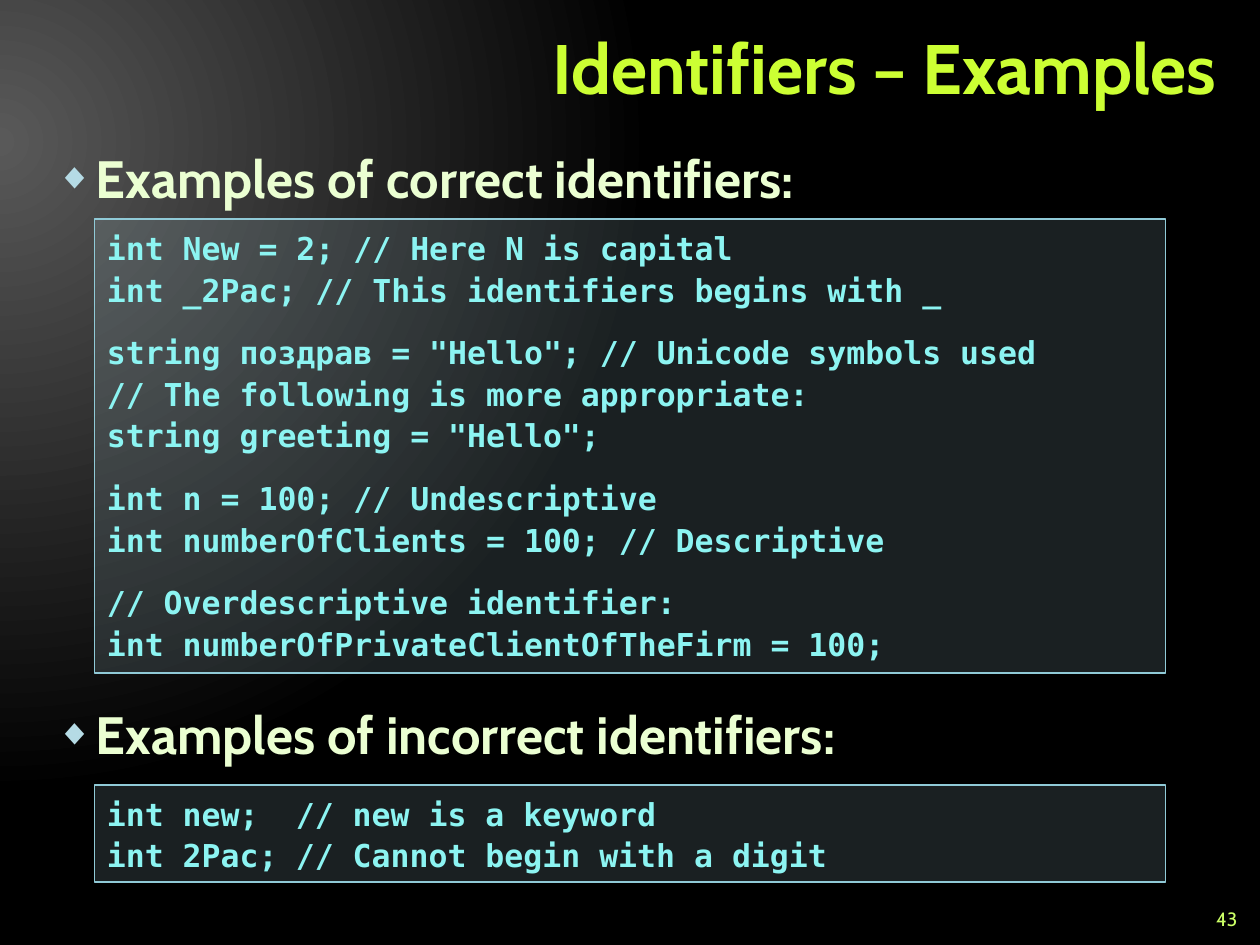
from lxml import etree
from pptx import Presentation
from pptx.dml.color import RGBColor
from pptx.enum.shapes import MSO_SHAPE
from pptx.enum.text import MSO_ANCHOR as Anchor, MSO_AUTO_SIZE as Fit, PP_ALIGN as Align
from pptx.oxml import parse_xml
from pptx.oxml.ns import nsdecls, qn
from pptx.util import Inches, Pt

# Content
TITLE = "Identifiers – Examples"
PAGE_NUMBER = "43"
HEADINGS = ["Examples of correct identifiers:", "Examples of incorrect identifiers:"]
HEADING_GAPS = [6, 274]  # points above each heading; the second clears the first code box
CORRECT = [
    ["int New = 2; // Here N is capital",
     "int _2Pac; // This identifiers begins with _"],
    ['string поздрав = "Hello"; // Unicode symbols used',
     "// The following is more appropriate:",
     'string greeting = "Hello";'],
    ["int n = 100; // Undescriptive",
     "int numberOfClients = 100; // Descriptive"],
    ["// Overdescriptive identifier:",
     "int numberOfPrivateClientOfTheFirm = 100;"],
]
INCORRECT = [
    ["int new;\t// new is a keyword",
     "int 2Pac;\t// Cannot begin with a digit"],
]
CODE_BOXES = [(6.23, 0.77, INCORRECT), (1.74, 3.6, CORRECT)]  # top, height, groups

# Look
COLORS = {
    "title": "CCFF33", "heading": "EBFFD2", "bullet": "B5DBE5", "number": "CCFF66",
    "code": "8CF4F2", "code_fill": "B5DBE5", "code_line": "90CAD7",
    "glow": "595959", "night": "000000", "wave": "000D9E", "wave_edge": "262626",
}
FONTS = {
    "title": {"name": "Cabin", "size": Pt(40), "bold": True},
    "heading": {"name": "Cabin", "size": Pt(30), "bold": True},
    "number": {"name": "Cabin", "size": Pt(11), "bold": False},
    "code": {"name": "DejaVu Sans Mono", "size": Pt(18), "bold": True},
}
# top, bottom, left end of crest, its two control points, edge colour
WAVES = [
    (0.45, 6.53, 1.33, (5, 1.33), (5.34, -0.75), "wave_edge"),
    (0.67, 5.57, 1.33, (5, 1.33), (5.98, -0.49), "glow"),
] * 2
WIDTH, HEIGHT = 10, 7.5


def rgb(role):
    return RGBColor.from_string(COLORS[role])


def set_format(target, values):
    for key, value in values.items():
        setattr(target, key, value)


def write(paragraph, text, role, **layout):
    run = paragraph.add_run()
    run.text = text
    set_format(run.font, FONTS[role])
    run.font.color.rgb = rgb(role)
    set_format(paragraph, layout)


def place(shape, left, top, width, height):
    sides = zip(("left", "top", "width", "height"), (left, top, width, height))
    set_format(shape, {side: Inches(value) for side, value in sides})


def set_gradient(parent, stops, direction):
    """Swap the solid fill in parent for a gradient of (percent, role, alpha) stops."""
    marks = "".join(
        f'<a:gs pos="{pos * 1000}"><a:srgbClr val="{COLORS[role]}">'
        f'<a:alpha val="{alpha * 1000}"/></a:srgbClr></a:gs>' for pos, role, alpha in stops)
    gradient = parse_xml(f'<a:gradFill {nsdecls("a")} rotWithShape="1">'
                         f"<a:gsLst>{marks}</a:gsLst>{direction}</a:gradFill>")
    parent.replace(parent.find(qn("a:solidFill")), gradient)


def add_wave(slide, top, bottom, crest, control1, control2, edge):
    # Drawn upside down, then turned, so the gradient ends at the crest
    def turned(x, y):
        return WIDTH - x, top + bottom - y

    corners = [turned(*point) for point in
               [(WIDTH, bottom), (0, bottom), (0, crest), (WIDTH, top)]]
    builder = slide.shapes.build_freeform(*corners[0], scale=Inches(1))
    builder.add_line_segments(corners[1:], close=True)
    wave = builder.convert_to_shape()
    wave.shadow.inherit = False
    wave.rotation = 180
    wave.fill.solid()
    wave.line.fill.background()
    set_gradient(wave._element.spPr, [(65, "wave", 0), (100, edge, 100)],
                 '<a:lin ang="4800000" scaled="0"/>')
    # The crest is the last straight side: bend it
    crest_side = wave._element.findall(".//" + qn("a:lnTo"))[2]
    curve = etree.Element(qn("a:cubicBezTo"))
    for x, y in (turned(*control1), turned(*control2), corners[3]):
        etree.SubElement(curve, qn("a:pt"), x=str(int(Inches(x))),
                         y=str(int(Inches(y - top))))
    crest_side.getparent().replace(crest_side, curve)
    return wave


def add_bullet(paragraph):
    props = paragraph._p.get_or_add_pPr()
    indent = int(Inches(0.31))
    props.set("marL", str(indent))
    props.set("indent", str(-indent))
    color = etree.SubElement(props, qn("a:buClr"))
    etree.SubElement(color, qn("a:srgbClr"), val=COLORS["bullet"])
    etree.SubElement(props, qn("a:buSzPct"), val="70000")
    etree.SubElement(props, qn("a:buChar"), char="◆")


def add_code(slide, top, height, groups):
    box = slide.shapes.add_shape(MSO_SHAPE.RECTANGLE, Inches(0.75), Inches(top),
                                 Inches(8.5), Inches(height))
    box.shadow.inherit = False
    box.fill.solid()
    box.fill.fore_color.rgb = rgb("code_fill")
    tint = box._element.spPr.find(qn("a:solidFill"))[0]
    etree.SubElement(tint, qn("a:alpha"), val="15000")
    box.line.color.rgb = rgb("code_line")
    box.line.width = Pt(1)
    frame = box.text_frame
    set_format(frame, {"word_wrap": True, "vertical_anchor": Anchor.TOP,
                       "auto_size": Fit.SHAPE_TO_FIT_TEXT})
    lines = [(line, 12 if g and not i else 0)
             for g, group in enumerate(groups) for i, line in enumerate(group)]
    for n, (line, gap) in enumerate(lines):
        paragraph = frame.add_paragraph() if n else frame.paragraphs[0]
        write(paragraph, line, "code", alignment=Align.LEFT, line_spacing=1.1,
              space_before=Pt(gap))


def main():
    prs = Presentation()
    prs.slide_width, prs.slide_height = Inches(WIDTH), Inches(HEIGHT)
    slide = prs.slides.add_slide(prs.slide_layouts[1])
    title, body = slide.placeholders

    # Background glow and waves behind everything
    slide.background.fill.solid()
    set_gradient(slide._element.find(".//" + qn("p:bgPr")),
                 [(0, "glow", 100), (83, "night", 100)],
                 '<a:path path="circle"><a:fillToRect l="20000" t="30000" '
                 'r="135000" b="100000"/></a:path>')
    for layer, wave in enumerate(WAVES):
        slide.shapes._spTree.insert(2 + layer, add_wave(slide, *wave)._element)

    # Title
    place(title, 2, 0.08, 7.75, 1)
    set_format(title.text_frame, {"vertical_anchor": Anchor.MIDDLE, "auto_size": Fit.NONE})
    write(title.text_frame.paragraphs[0], TITLE, "title",
          alignment=Align.RIGHT, line_spacing=Pt(40))

    # Headings
    place(body, 0.35, 1.08, 9.29, 6)
    body.text_frame.auto_size = Fit.NONE
    for n, (heading, gap) in enumerate(zip(HEADINGS, HEADING_GAPS)):
        paragraph = body.text_frame.add_paragraph() if n else body.text_frame.paragraphs[0]
        write(paragraph, heading, "heading", line_spacing=Pt(38),
              space_before=Pt(gap), space_after=Pt(6))
        add_bullet(paragraph)

    # Page number
    number = slide.shapes.add_textbox(Inches(9.42), Inches(7.17), Inches(0.5), Inches(0.25))
    set_format(number.text_frame, {"word_wrap": True, "vertical_anchor": Anchor.MIDDLE})
    write(number.text_frame.paragraphs[0], PAGE_NUMBER, "number", alignment=Align.RIGHT)

    # Code boxes
    for code_box in CODE_BOXES:
        add_code(slide, *code_box)

    prs.save("out.pptx")


if __name__ == "__main__":
    main()
